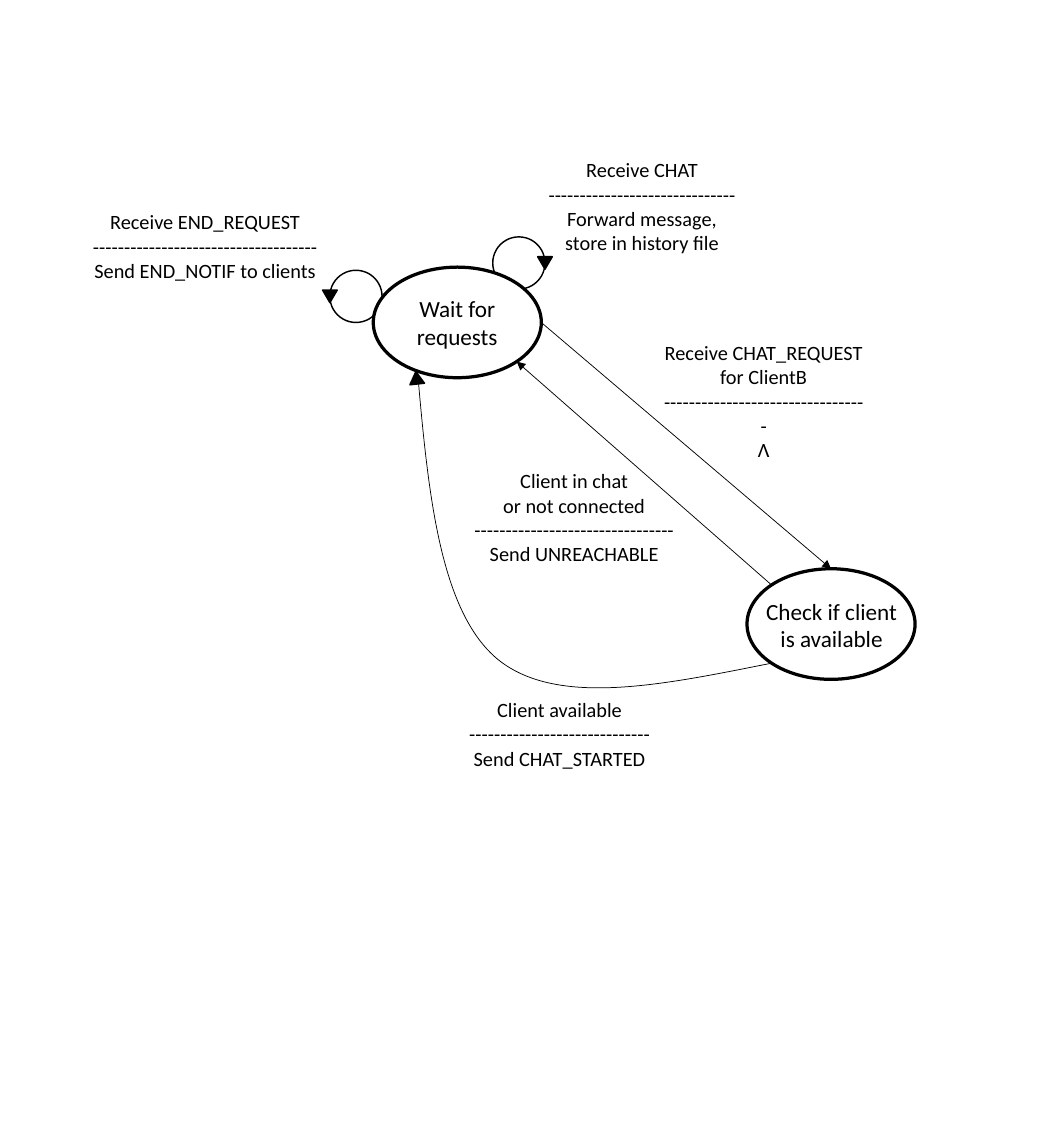
from dataclasses import dataclass
from math import cos, radians, sin

from lxml.etree import SubElement
from pptx import Presentation
from pptx.dml.color import RGBColor
from pptx.enum.shapes import MSO_CONNECTOR, MSO_SHAPE as Preset
from pptx.enum.text import MSO_ANCHOR, MSO_AUTO_SIZE, PP_ALIGN
from pptx.oxml.ns import qn
from pptx.util import Inches, Pt

COLUMNS, ROWS = 10, 11
CELL = Inches(1)


@dataclass(frozen=True)
class Theme:
    ink: RGBColor = RGBColor(0, 0, 0)
    paper: RGBColor = RGBColor(255, 255, 255)
    font: str = "Calibri"
    label_size: float = 14
    state_size: float = 16
    state_line: float = 2.25
    loop_line: float = 1
    arrow_line: float = 0.5


THEME = Theme()
STATE_SIZE = (1.61, 1.06)
LOOP_SIZE = (0.5, 0.5)
HEAD_SIZE = (0.14, 0.12)


def grid(*cells):
    return [round(cell * CELL) for cell in cells]


def stroke(shape, width):
    shape.line.color.rgb = THEME.ink
    shape.line.width = Pt(width)


def write(frame, lines, size):
    frame.word_wrap = True
    frame.text = "\n".join(lines)
    for paragraph in frame.paragraphs:
        paragraph.alignment = PP_ALIGN.CENTER
        for run in paragraph.runs:
            run.font.name = THEME.font
            run.font.size = Pt(size)
            run.font.color.rgb = THEME.ink


def add_label(slide, box, lines, size=THEME.label_size, wrap=True):
    frame = slide.shapes.add_textbox(*grid(*box)).text_frame
    write(frame, lines, size)
    frame.word_wrap = wrap
    frame.auto_size = MSO_AUTO_SIZE.SHAPE_TO_FIT_TEXT


def add_centred(shapes, preset, centre, size, fill, width):
    (x, y), (w, h) = centre, size
    shape = shapes.add_shape(preset, *grid(x - w / 2, y - h / 2, w, h))
    shape.shadow.inherit = False
    if fill is None:
        shape.fill.background()
    else:
        shape.fill.solid()
        shape.fill.fore_color.rgb = fill
    stroke(shape, width)
    return shape


def add_state(slide, centre):
    return add_centred(slide.shapes, Preset.OVAL, centre, STATE_SIZE,
                       THEME.paper, THEME.state_line)


def add_head(shapes, centre, rotation):
    head = add_centred(shapes, Preset.ISOSCELES_TRIANGLE, centre, HEAD_SIZE,
                       THEME.ink, THEME.loop_line)
    head.rotation = rotation


def add_loop(slide, centre, side):
    loop = slide.shapes.add_group_shape().shapes
    add_centred(loop, Preset.OVAL, centre, LOOP_SIZE, None, THEME.loop_line)
    x, y = centre
    add_head(loop, (x + side * LOOP_SIZE[0] / 2, y), 180)


def rim(centre, angle):
    (x, y), (w, h) = centre, STATE_SIZE
    return x + w / 2 * cos(radians(angle)), y + h / 2 * sin(radians(angle))


def add_arrow(slide, start, end):
    arrow = slide.shapes.add_connector(MSO_CONNECTOR.STRAIGHT, *grid(*start, *end))
    stroke(arrow, THEME.arrow_line)
    SubElement(arrow.line._get_or_add_ln(), qn("a:tailEnd"), type="triangle")
    SubElement(arrow._element.spPr, qn("a:effectLst"))


def add_curve(slide, start, controls, height):
    builder = slide.shapes.build_freeform(*grid(*start))
    builder.add_line_segments([grid(*point) for point in controls], close=False)
    curve = builder.convert_to_shape()
    curve.shadow.inherit = False
    curve.fill.background()
    stroke(curve, THEME.arrow_line)
    curve.height, = grid(height)
    outline = curve._element.spPr.find(".//" + qn("a:path"))
    outline.set("h", str(curve.height))
    steps = outline.findall(qn("a:lnTo"))
    for first in range(0, len(steps), 3):
        bend = SubElement(outline, qn("a:cubicBezTo"))
        for step in steps[first:first + 3]:
            bend.append(step[0])
            outline.remove(step)


def main():
    deck = Presentation()
    deck.slide_width, deck.slide_height = grid(COLUMNS, ROWS)
    slide = deck.slides.add_slide(deck.slide_layouts[6])
    waiting, checking = (4.38, 3.09), (7.96, 5.98)

    add_arrow(slide, rim(waiting, 0), rim(checking, -90))
    add_label(slide, (0.76, 1.96, 2.41, 0.81),
              ["Receive END_REQUEST", "-" * 36, "Send END_NOTIF to clients"], wrap=False)
    add_label(slide, (5.15, 1.46, 2, 1.04),
              ["Receive CHAT", "-" * 30, "Forward message, store in history file"])
    add_label(slide, (6.24, 3.21, 2.15, 1.04),
              ["Receive CHAT_REQUEST for ClientB", "-" * 33, "Λ"])
    add_arrow(slide, rim(checking, -135), rim(waiting, 45))
    add_label(slide, (4.41, 4.44, 2.18, 1.28),
              ["Client in chat", "or not connected", "-" * 32, "Send UNREACHABLE"])

    add_state(slide, checking)
    add_label(slide, (7.16, 5.67, STATE_SIZE[0], 0.64),
              ["Check if client is available"], THEME.state_size)
    add_label(slide, (4.35, 6.63, 2.02, 1.04),
              ["Client available", "-" * 29, "Send CHAT_STARTED"])

    add_loop(slide, (4.97, 2.52), 1)
    add_curve(slide, rim(checking, 135),
              [(6.36, 6.56), (5.34, 6.78), (4.77, 6.32),
               (4.21, 5.86), (4.1, 4.71), (4, 3.57)], 3.03)
    add_head(slide.shapes, (3.99, 3.62), -6.1)
    add_loop(slide, (3.41, 2.84), -1)

    wait_frame = add_state(slide, waiting).text_frame
    write(wait_frame, ["Wait for requests"], THEME.state_size)
    wait_frame.vertical_anchor = MSO_ANCHOR.MIDDLE

    deck.save("out.pptx")


main()
